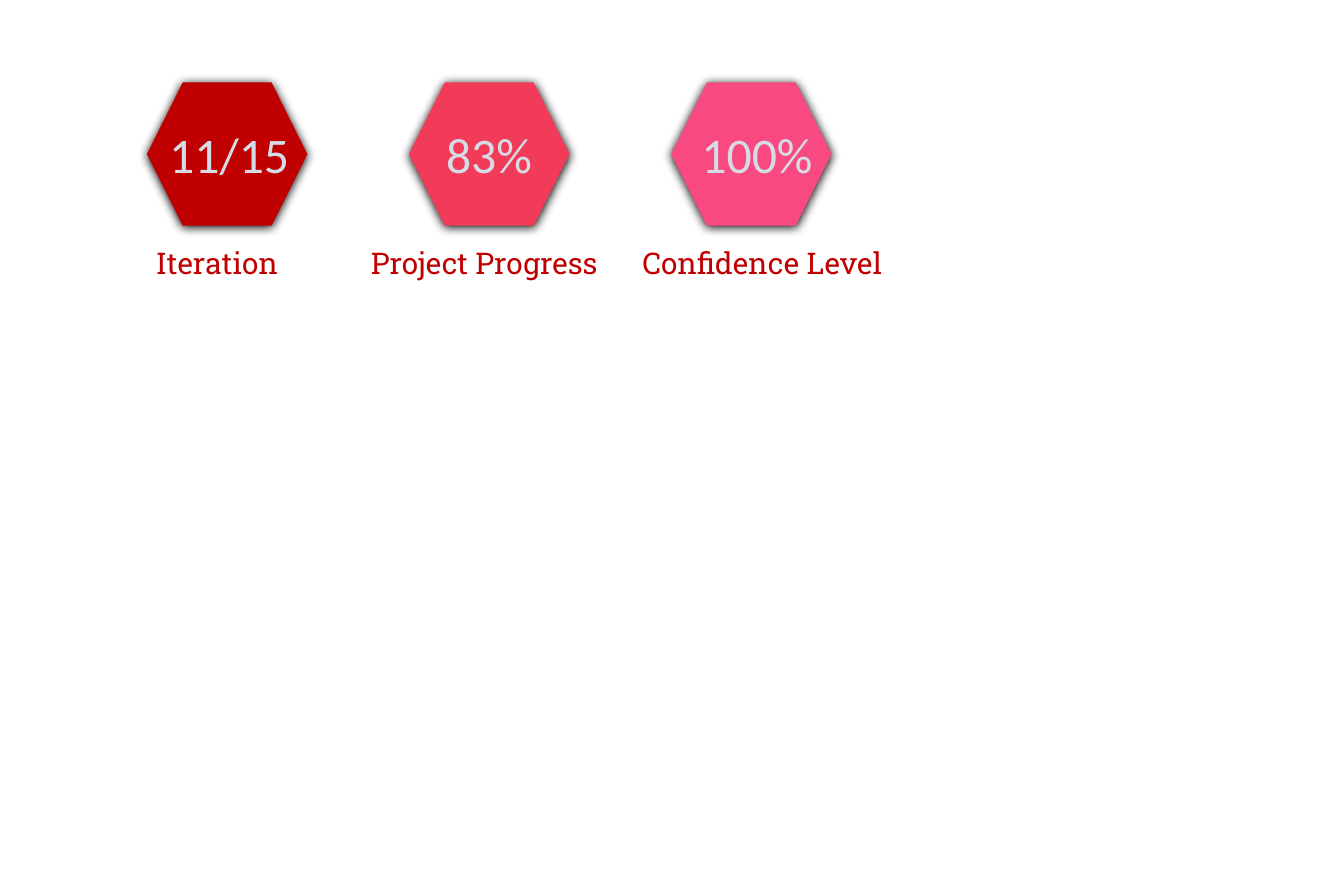
from lxml.etree import SubElement as SubEl
from pptx import Presentation
from pptx.dml.color import RGBColor as RGB
from pptx.enum.shapes import MSO_SHAPE as SHAPE
from pptx.enum.text import MSO_AUTO_SIZE as AUTO
from pptx.oxml.ns import qn
from pptx.util import Inches, Pt

COLORS = {
    "red": "C00000",
    "coral": "F23A59",
    "pink": "F84A80",
    "pale": "D6DCE5",
    "black": "000000",
}


class StatusSlide:
    value_font, value_size = "Calibri", 40
    label_font, label_size = "Roboto Slab", 24

    def __init__(self, prs):
        self.s = prs.slides.add_slide(prs.slide_layouts[6])

    def hexagon(self, x, y, w, h, color):
        sp = self.s.shapes.add_shape(
            SHAPE.HEXAGON, Inches(x), Inches(y), Inches(w), Inches(h))
        sp.fill.solid()
        sp.fill.fore_color.rgb = RGB.from_string(COLORS[color])
        sp.line.fill.background()
        self.shadow(sp)

    def shadow(self, sp):
        sp.shadow.inherit = False
        effects = sp._element.spPr.find(qn("a:effectLst"))
        outer = SubEl(effects, qn("a:outerShdw"), blurRad=str(Pt(8.5)),
                      dist=str(Pt(1)), dir="5400000", algn="ctr", rotWithShape="0")
        SubEl(outer, qn("a:srgbClr"), val=COLORS["black"])

    def text(self, x, y, w, h, text, font, size, color):
        tf = self.s.shapes.add_textbox(
            Inches(x), Inches(y), Inches(w), Inches(h)).text_frame
        tf.word_wrap = True
        tf.auto_size = AUTO.SHAPE_TO_FIT_TEXT
        p = tf.paragraphs[0]
        r = p.add_run()
        r.text = text
        r.font.name = font
        r.font.size = Pt(size)
        r.font.color.rgb = RGB.from_string(COLORS[color])

    def value(self, x, w, text):
        self.text(x, 1.33, w, 0.77, text, self.value_font, self.value_size, "pale")

    def label(self, x, w, text):
        self.text(x, 2.68, w, 0.5, text, self.label_font, self.label_size, "red")


def main():
    prs = Presentation()
    prs.slide_width, prs.slide_height = Inches(15), Inches(10)
    slide = StatusSlide(prs)

    # Hexagons in an even row
    left, pitch = 1.64, 2.925
    for i, color in enumerate(("red", "coral", "pink")):
        slide.hexagon(left + i * pitch, 0.92, 1.79, 1.6, color)

    # Values on the hexagons
    for x, w, text in ((1.79, 1.72, "11/15"), (4.88, 3.44, "83%"), (7.73, 3.44, "100%")):
        slide.value(x, w, text)

    # Labels below
    for x, w, text in ((1.64, 3.31, "Iteration"), (4.04, 3.69, "Project Progress"),
                       (7.07, 3.31, "Confidence Level")):
        slide.label(x, w, text)

    prs.save("out.pptx")


if __name__ == "__main__":
    main()
